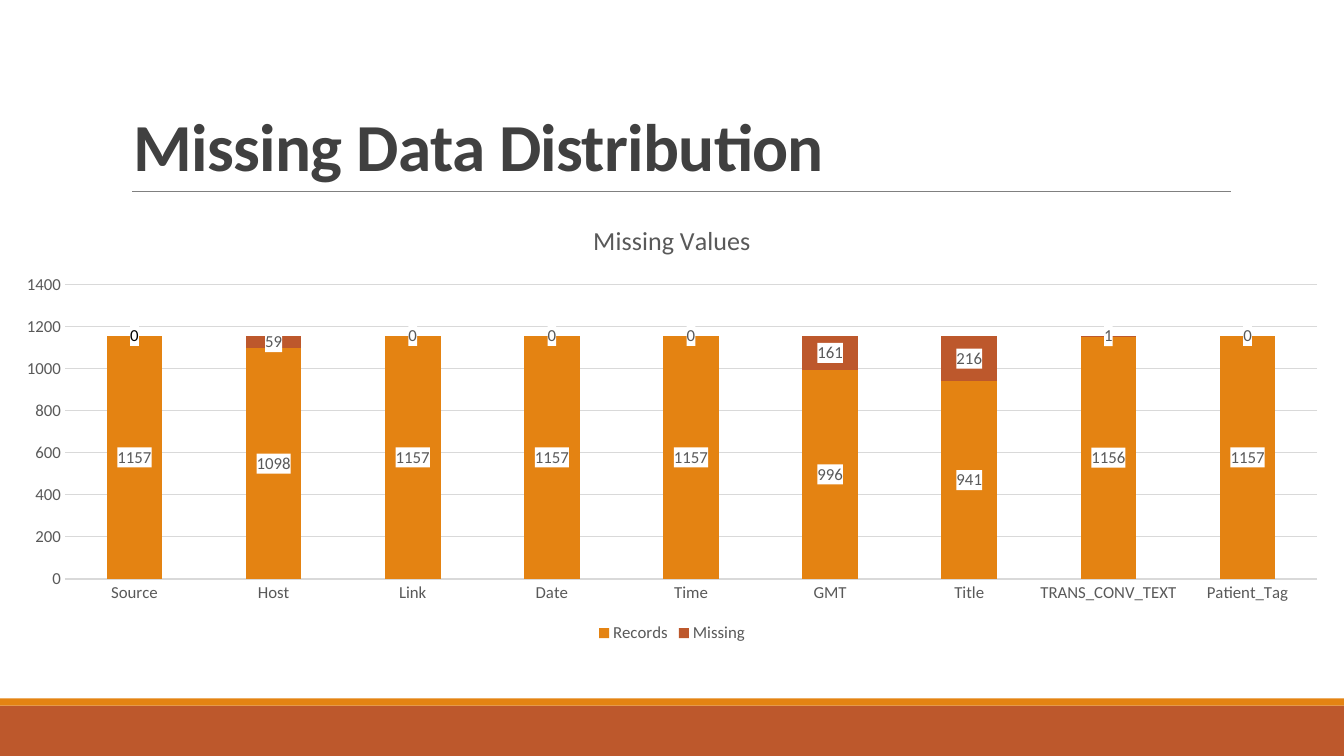
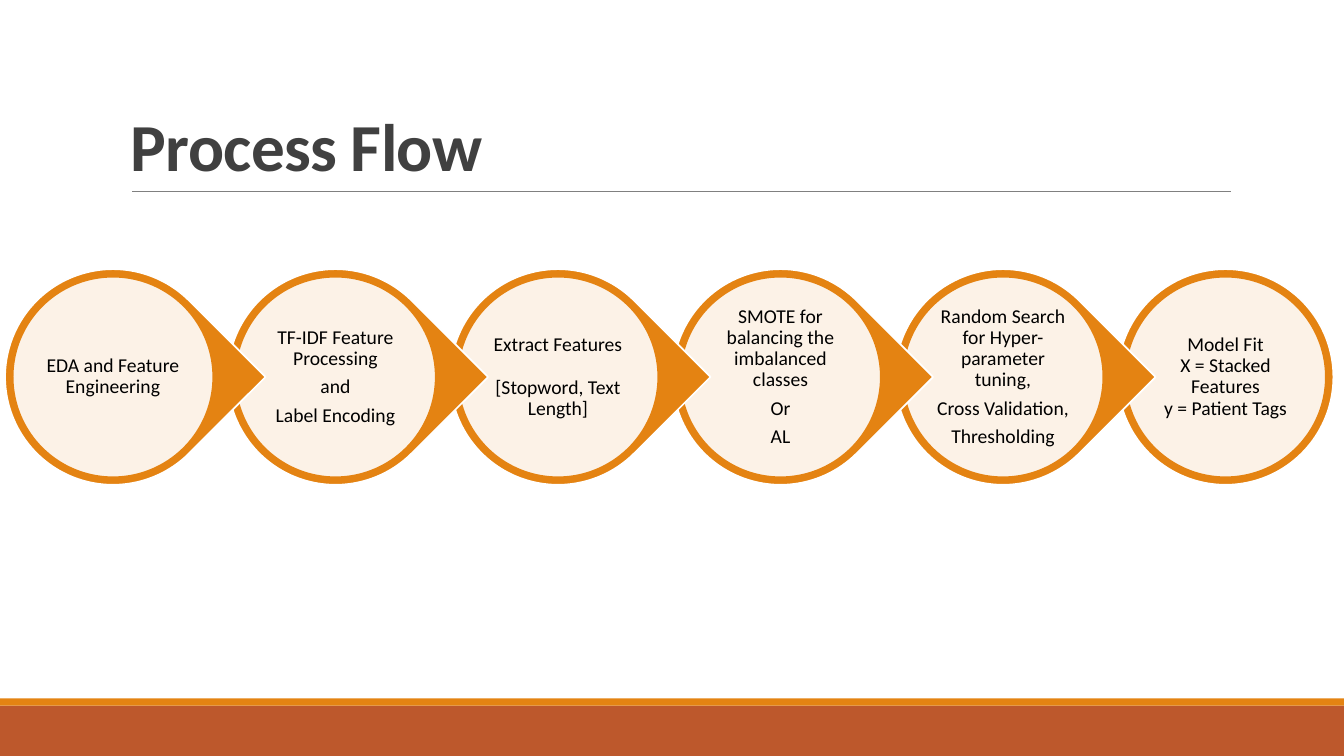
from lxml.etree import SubElement
from pptx import Presentation
from pptx.chart.data import CategoryChartData
from pptx.dml.color import RGBColor
from pptx.enum.chart import XL_CHART_TYPE as ChartType
from pptx.enum.chart import XL_LEGEND_POSITION as LegendPosition
from pptx.enum.chart import XL_TICK_MARK as TickMark
from pptx.enum.shapes import MSO_CONNECTOR as Connector
from pptx.enum.shapes import MSO_SHAPE as Shape
from pptx.enum.text import MSO_ANCHOR as Anchor
from pptx.enum.text import PP_ALIGN as Align
from pptx.oxml import parse_xml
from pptx.oxml.ns import nsdecls, qn
from pptx.util import Inches, Pt

FONT = "Calibri"
ORANGE, RUST, WHITE, BLACK = "E48312", "BD582C", "FFFFFF", "000000"
TITLE_GRAY, CHART_GRAY, GRID_GRAY, RULE_GRAY = "404040", "595959", "D9D9D9", "808080"


def color(hex_string):
    return RGBColor.from_string(hex_string)


def style_font(font, size, hex_string, bold=False):
    font.name, font.size, font.bold = FONT, Pt(size), bold
    font.color.rgb = color(hex_string)


def write_text(frame, text, size=14, hex_string=BLACK, bold=False, align=Align.LEFT,
               anchor=Anchor.TOP, line_spacing=0.9, gap=0, tracking=0, inset=None):
    frame.word_wrap = True
    frame.vertical_anchor = anchor
    if inset is not None:
        frame.margin_left = frame.margin_right = Inches(inset)
        frame.margin_top = frame.margin_bottom = Inches(inset)
    frame.text = text
    for paragraph in frame.paragraphs:
        paragraph.alignment = align
        paragraph.line_spacing = line_spacing
        paragraph.space_after = Pt(gap)
        for run in paragraph.runs:
            style_font(run.font, size, hex_string, bold)
            if tracking:
                run.font._element.set("spc", str(int(tracking * 100)))


def whiten_label(element):
    properties = parse_xml(
        f'<c:spPr {nsdecls("c", "a")}><a:solidFill><a:srgbClr val="{WHITE}"/>'
        "</a:solidFill><a:ln><a:noFill/></a:ln></c:spPr>")
    element.find(qn("c:txPr")).addprevious(properties)


class Deck:
    """Holds the shared style and the current slide."""

    def __init__(self):
        self.presentation = Presentation()
        self.presentation.slide_width = Inches(13.33)
        self.presentation.slide_height = Inches(7.5)
        self.slide = None

    def add_slide(self, title, left):
        self.slide = self.presentation.slides.add_slide(self.presentation.slide_layouts[6])
        self.add_shape(Shape.RECTANGLE, 0, 7, 13.33, 0.5, RUST)
        self.add_shape(Shape.RECTANGLE, 0, 6.93, 13.33, 0.07, ORANGE)
        self.add_rule(1.31, 12.21, 1.9)
        self.add_text(title, left, 0.31, 10.97, 1.58, size=48, hex_string=TITLE_GRAY,
                      bold=True, anchor=Anchor.BOTTOM, line_spacing=0.85, tracking=-0.5)

    def add_shape(self, kind, left, top, width, height, fill, line=None, alpha=None):
        shape = self.slide.shapes.add_shape(
            kind, Inches(left), Inches(top), Inches(width), Inches(height))
        shape.shadow.inherit = False
        shape.fill.solid()
        shape.fill.fore_color.rgb = color(fill)
        if alpha is not None:
            fill_color = shape._element.spPr.find(qn("a:solidFill"))[0]
            SubElement(fill_color, qn("a:alpha")).set("val", str(alpha * 1000))
        if line:
            shape.line.color.rgb = color(line)
            shape.line.width = Pt(1.25)
        else:
            shape.line.fill.background()
        return shape

    def add_rule(self, start, end, top):
        rule = self.slide.shapes.add_connector(
            Connector.STRAIGHT, Inches(start), Inches(top), Inches(end), Inches(top))
        rule.line.color.rgb = color(RULE_GRAY)
        rule.line.width = Pt(0.5)
        SubElement(rule._element.spPr, qn("a:effectLst"))

    def add_text(self, text, left, top, width, height, **text_format):
        box = self.slide.shapes.add_textbox(
            Inches(left), Inches(top), Inches(width), Inches(height))
        write_text(box.text_frame, text, **text_format)

    def add_stacked_chart(self, title, categories, series_values, left, top, width, height):
        data = CategoryChartData()
        data.categories = categories
        for name, values, _ in series_values:
            data.add_series(name, values)
        chart = self.slide.shapes.add_chart(
            ChartType.COLUMN_STACKED, Inches(left), Inches(top),
            Inches(width), Inches(height), data).chart
        style_font(chart.font, 12, CHART_GRAY)
        chart.has_title = True
        write_text(chart.chart_title.text_frame, title, size=18.6,
                   hex_string=CHART_GRAY, line_spacing=1, align=Align.CENTER)
        chart.chart_title.include_in_layout = False
        chart.has_legend = True
        chart.legend.position = LegendPosition.BOTTOM
        chart.legend.include_in_layout = False
        style_font(chart.legend.font, 12, CHART_GRAY)
        for axis in (chart.category_axis, chart.value_axis):
            axis.major_tick_mark = axis.minor_tick_mark = TickMark.NONE
            style_font(axis.tick_labels.font, 12, CHART_GRAY)
        grid = chart.value_axis.major_gridlines.format.line
        for line in (chart.category_axis.format.line, grid):
            line.color.rgb = color(GRID_GRAY)
            line.width = Pt(0.75)
        chart.value_axis.format.line.fill.background()
        plot = chart.plots[0]
        plot.gap_width, plot.overlap, plot.vary_by_categories = 150, 100, False
        for series, (_, _, fill) in zip(plot.series, series_values):
            series.format.fill.solid()
            series.format.fill.fore_color.rgb = color(fill)
            labels = series.data_labels
            labels.show_value = True
            style_font(labels.font, 12, CHART_GRAY)
            whiten_label(labels._element)
        return chart

    def darken_label(self, point):
        label = point.data_label
        style_font(label.font, 12, BLACK)
        whiten_label(label.font._element.getparent().getparent().getparent().getparent())

    def add_step(self, text, center, middle, is_last, gap):
        outer, inner, label = 2.14, 1.99, 1.42

        def square(side):
            return center - side / 2, middle - side / 2, side, side

        kind = Shape.OVAL if is_last else Shape.TEAR
        drop = self.add_shape(kind, *square(outer), ORANGE, WHITE)
        if not is_last:
            drop.adjustments[0] = 1
            drop.rotation = 45
        self.add_shape(Shape.OVAL, *square(inner), WHITE, ORANGE, alpha=90)
        self.add_text(text, *square(label), align=Align.CENTER,
                      anchor=Anchor.MIDDLE, gap=gap, inset=0.02)


def build_missing_data(deck):
    deck.add_slide("Missing Data Distribution", 1.23)
    categories = ["Source", "Host", "Link", "Date", "Time", "GMT", "Title",
                  "TRANS_CONV_TEXT", "Patient_Tag"]
    records = [1157, 1098, 1157, 1157, 1157, 996, 941, 1156, 1157]
    missing = [0, 59, 0, 0, 0, 161, 216, 1, 0]
    chart = deck.add_stacked_chart(
        "Missing Values", categories,
        [("Records", records, ORANGE), ("Missing", missing, RUST)],
        0, 2.02, 13.33, 4.4)
    deck.darken_label(chart.plots[0].series[1].points[0])


def build_process_flow(deck):
    deck.add_slide("Process Flow", 1.2)
    steps = [
        ("EDA and Feature Engineering", 5),
        ("TF-IDF Feature Processing\nand\nLabel Encoding", 5),
        ("Extract Features\n[Stopword, Text Length]", 15.4),
        ("SMOTE for balancing the imbalanced classes\nOr\nAL", 5),
        ("Random Search for Hyper-parameter tuning,\nCross Validation,\nThresholding", 5),
        ("Model Fit\vX = Stacked Features\vy = Patient Tags", 5),
    ]
    first_center, pitch, last = 1.12, 2.207, len(steps) - 1
    for index, (text, gap) in reversed(list(enumerate(steps))):
        deck.add_step(text, first_center + index * pitch, 3.74, index == last, gap)


def main():
    deck = Deck()
    build_missing_data(deck)
    build_process_flow(deck)
    deck.presentation.save("out.pptx")


if __name__ == "__main__":
    main()
